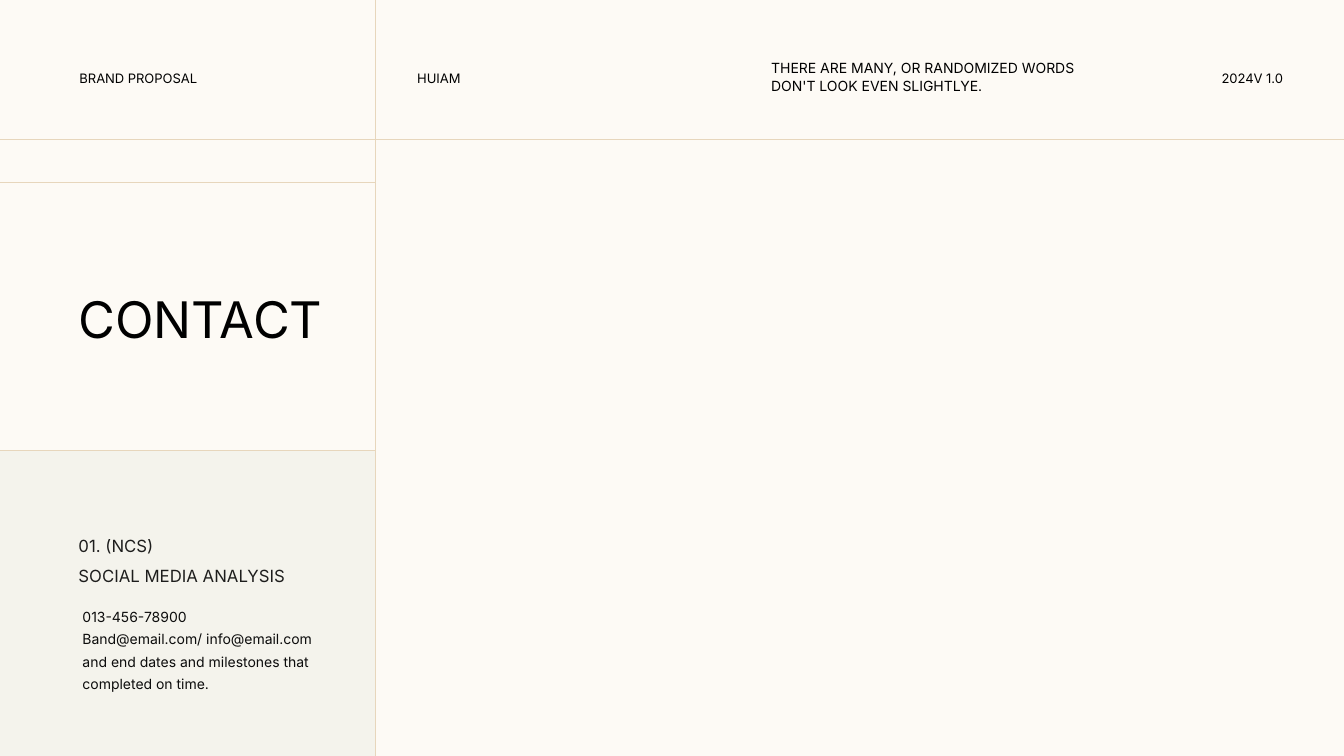
from lxml.etree import SubElement
from pptx import Presentation
from pptx.dml.color import RGBColor
from pptx.enum.shapes import MSO_CONNECTOR, MSO_SHAPE
from pptx.enum.text import MSO_AUTO_SIZE, PP_ALIGN
from pptx.oxml.ns import qn
from pptx.util import Inches, Pt

COLORS = {
    "background": "FDFAF5",
    "panel": "EDEDE5",
    "rule": "E7D6BC",
    "text": "000000",
    "details": "0D0D0D",
}
FONT = "Inter"
SLIDE_WIDTH, SLIDE_HEIGHT = 13.33, 7.5
SIDEBAR_WIDTH = 3.72
HEADER_BOTTOM, TITLE_TOP, PANEL_TOP = 1.38, 1.81, 4.47


def rgb(name):
    return RGBColor.from_string(COLORS[name])


def set_alpha(fill, percent):
    color = fill._xPr.find(qn("a:solidFill"))[0]
    SubElement(color, qn("a:alpha"), val=str(percent * 1000))


def add_panel(slide, left, top, width, height):
    panel = slide.shapes.add_shape(
        MSO_SHAPE.RECTANGLE, Inches(left), Inches(top), Inches(width), Inches(height)
    )
    panel.shadow.inherit = False
    panel.fill.solid()
    panel.fill.fore_color.rgb = rgb("panel")
    set_alpha(panel.fill, 50)
    panel.line.fill.background()


def add_rule(shapes, start, end):
    rule = shapes.add_connector(
        MSO_CONNECTOR.STRAIGHT, *(Inches(value) for value in (*start, *end))
    )
    rule.line.color.rgb = rgb("rule")
    rule.line.width = Pt(0.5)
    SubElement(rule._element.spPr, qn("a:effectLst"))


def add_text(slide, box, lines, size, color="text", spacing=None,
             align=PP_ALIGN.LEFT, raised=False, alpha=None):
    frame = slide.shapes.add_textbox(*(Inches(value) for value in box)).text_frame
    frame.word_wrap = True
    frame.auto_size = MSO_AUTO_SIZE.SHAPE_TO_FIT_TEXT
    frame.text = "\n".join(lines)
    for paragraph in frame.paragraphs:
        paragraph.alignment = align
        if spacing:
            paragraph.line_spacing = Pt(spacing)
        for run in paragraph.runs:
            run.font.name = FONT
            run.font.size = Pt(size)
            run.font.color.rgb = rgb(color)
            if raised:
                run._r.get_or_add_rPr().set("baseline", "30000")
            if alpha:
                set_alpha(run.font.fill, alpha)


def add_header(slide):
    labels = [
        ("2024V 1.0 ", 11.82, 1.04, PP_ALIGN.RIGHT),
        ("BRAND PROPOSAL", 0.69, 1.83, PP_ALIGN.LEFT),
        ("HUIAM", 4.04, 1.83, PP_ALIGN.LEFT),
    ]
    for label, left, width, align in labels:
        add_text(slide, (left, 0.62, width, 0.28), [label], 16, align=align, raised=True)
    tagline = "THERE ARE MANY, OR RANDOMIZED WORDS DON'T LOOK EVEN SLIGHTLYE."
    add_text(slide, (7.55, 0.53, 3.38, 0.45), [tagline], 10, spacing=13)


def add_rules(slide):
    add_rule(slide.shapes, (SIDEBAR_WIDTH, 0), (SIDEBAR_WIDTH, SLIDE_HEIGHT))
    add_rule(slide.shapes, (SLIDE_WIDTH, HEADER_BOTTOM), (0, HEADER_BOTTOM))
    title_frame = slide.shapes.add_group_shape()
    for top in (TITLE_TOP, PANEL_TOP):
        add_rule(title_frame.shapes, (SIDEBAR_WIDTH, top), (0, top))


def add_contact(slide):
    add_text(slide, (0.68, 2.65, 3.04, 0.8), ["CONTACT"], 36, spacing=55)
    add_text(slide, (0.68, 5.27, 2.71, 0.3), ["01. (NCS)"], 12, alpha=88)
    add_text(slide, (0.68, 5.56, 3.27, 0.3), ["SOCIAL MEDIA ANALYSIS"], 12, alpha=88)
    details = [
        "013-456-78900",
        "Band@email.com/ info@email.com",
        "and end dates and milestones that completed on time.",
    ]
    add_text(slide, (0.72, 5.93, 2.64, 0.98), details, 10, "details", spacing=16)


def main():
    deck = Presentation()
    deck.slide_width = Inches(SLIDE_WIDTH)
    deck.slide_height = Inches(SLIDE_HEIGHT)
    slide = deck.slides.add_slide(deck.slide_layouts[6])
    slide.background.fill.solid()
    slide.background.fill.fore_color.rgb = rgb("background")
    add_panel(slide, 0, PANEL_TOP, SIDEBAR_WIDTH, SLIDE_HEIGHT - PANEL_TOP)
    add_header(slide)
    add_rules(slide)
    add_contact(slide)
    deck.save("out.pptx")


if __name__ == "__main__":
    main()
